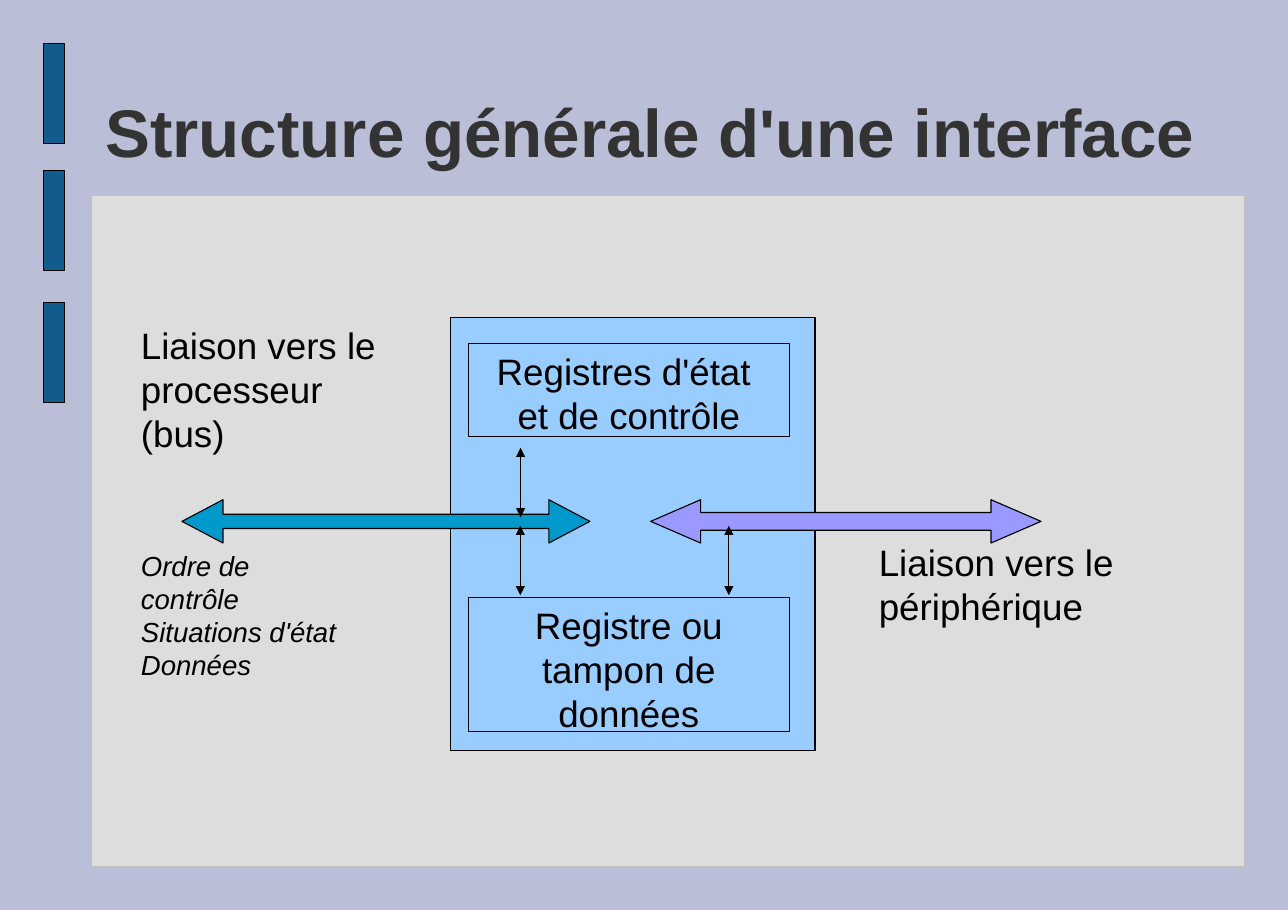
from lxml.etree import SubElement
from pptx import Presentation
from pptx.dml.color import RGBColor
from pptx.enum.shapes import MSO_CONNECTOR, MSO_SHAPE
from pptx.enum.text import MSO_ANCHOR, MSO_AUTO_SIZE, PP_ALIGN
from pptx.oxml.ns import qn
from pptx.util import Pt

COLORS = {
    "background": "BABED6", "panel": "DDDDDD", "panel_edge": "C0C0C0",
    "bar": "125C8D", "title": "333333", "black": "000000",
    "interface": "99CCFF", "bus": "0099CC", "peripheral": "9999FF",
}


def add_shape(kind, box, fill, line="black", width=0.75):
    sp = s.shapes.add_shape(kind, *map(Pt, box))
    sp.shadow.inherit = False
    if fill:
        sp.fill.solid()
        sp.fill.fore_color.rgb = RGBColor.from_string(COLORS[fill])
    else:
        sp.fill.background()
    sp.line.color.rgb = RGBColor.from_string(COLORS[line])
    sp.line.width = Pt(width)
    return sp


def write(sp, text, size, color="black", align=PP_ALIGN.LEFT, bold=False, italic=False, wrap=False):
    tf = sp.text_frame
    tf.text = text
    tf.word_wrap = wrap
    tf.auto_size = MSO_AUTO_SIZE.SHAPE_TO_FIT_TEXT
    tf.vertical_anchor = MSO_ANCHOR.TOP
    for p in tf.paragraphs:
        p.alignment = align
        for r in p.runs:
            r.font.name = "Arial"
            r.font.size = Pt(size)
            r.font.bold = bold
            r.font.italic = italic
            r.font.color.rgb = RGBColor.from_string(COLORS[color])
    return tf


prs = Presentation()
prs.slide_width, prs.slide_height = Pt(841.68), Pt(594.72)
s = prs.slides.add_slide(prs.slide_layouts[6])
s.background.fill.solid()
s.background.fill.fore_color.rgb = RGBColor.from_string(COLORS["background"])

add_shape(MSO_SHAPE.RECTANGLE, (60, 127.6, 753.6, 439), "panel", "panel_edge", 0)
for top in (28.2, 111.4, 197.8):
    add_shape(MSO_SHAPE.RECTANGLE, (28.2, top, 14.2, 65.5), "bar", width=0)

title = s.shapes.add_textbox(Pt(56.7), Pt(42.5), Pt(737.3), Pt(85))
tf = write(title, "Structure générale d'une interface", 44, "title", PP_ALIGN.CENTER, bold=True, wrap=True)
tf.margin_left = tf.margin_right = tf.margin_top = tf.margin_bottom = 0
tf.vertical_anchor = MSO_ANCHOR.MIDDLE
tf.auto_size = MSO_AUTO_SIZE.NONE

add_shape(MSO_SHAPE.RECTANGLE, (294.4, 207.5, 238.2, 283), "interface")
for top, height, text in (
    (390.4, 87.7, "Registre ou tampon de données"),
    (224.5, 61, "Registres d'état \net de contrôle"),
):
    register = add_shape(MSO_SHAPE.RECTANGLE, (306, top, 209.8, height), None)
    write(register, text, 24, align=PP_ALIGN.CENTER, wrap=True)

for left, width, fill, shaft, head in (
    (118.9, 266.6, "bus", 0.33, 0.947),
    (425.2, 255.1, "peripheral", 0.41, 1.154),
):
    arrow = add_shape(MSO_SHAPE.LEFT_RIGHT_ARROW, (left, 326.6, width, 28.3), fill)
    arrow.adjustments[0] = shaft
    arrow.adjustments[1] = head

for x, top in ((476.3, 343.6), (340, 343.6), (340.2, 292.6)):
    cn = s.shapes.add_connector(MSO_CONNECTOR.STRAIGHT, Pt(x), Pt(top), Pt(x), Pt(top + 45.4))
    cn.line.color.rgb = RGBColor.from_string(COLORS["black"])
    cn.line.width = Pt(0.75)
    ln = cn.line._get_or_add_ln()
    for end in ("a:headEnd", "a:tailEnd"):
        SubElement(ln, qn(end), type="triangle", w="med", len="med")
    SubElement(cn._element.spPr, qn("a:effectLst"))

for left, top, width, height, size, italic, text in (
    (85, 207.5, 168, 88, 24, False, "Liaison vers le\nprocesseur\n(bus)"),
    (567.2, 349.2, 168, 61, 24, False, "Liaison vers le\npériphérique"),
    (85, 354.9, 154, 68, 18, True, "Ordre de contrôle\nSituations d'état\nDonnées"),
):
    label = s.shapes.add_textbox(Pt(left), Pt(top), Pt(width), Pt(height))
    write(label, text, size, italic=italic)

prs.save("out.pptx")
